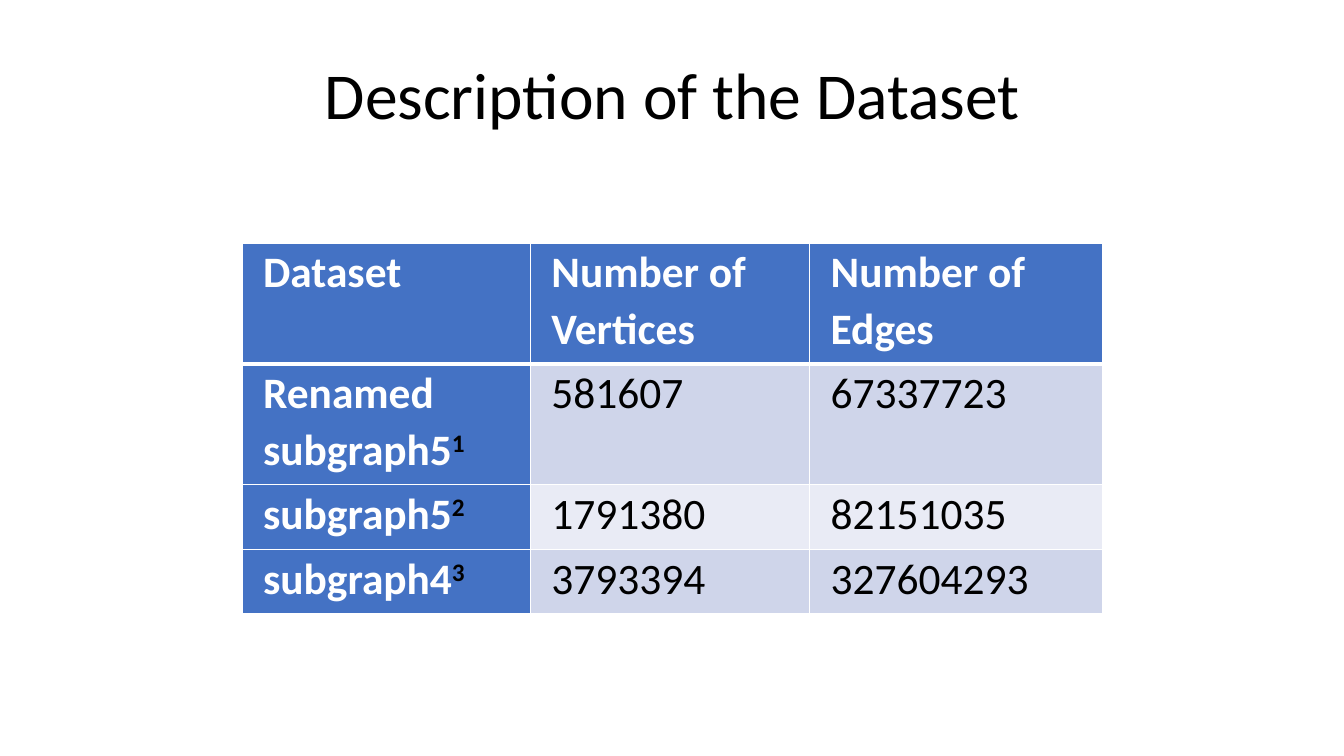
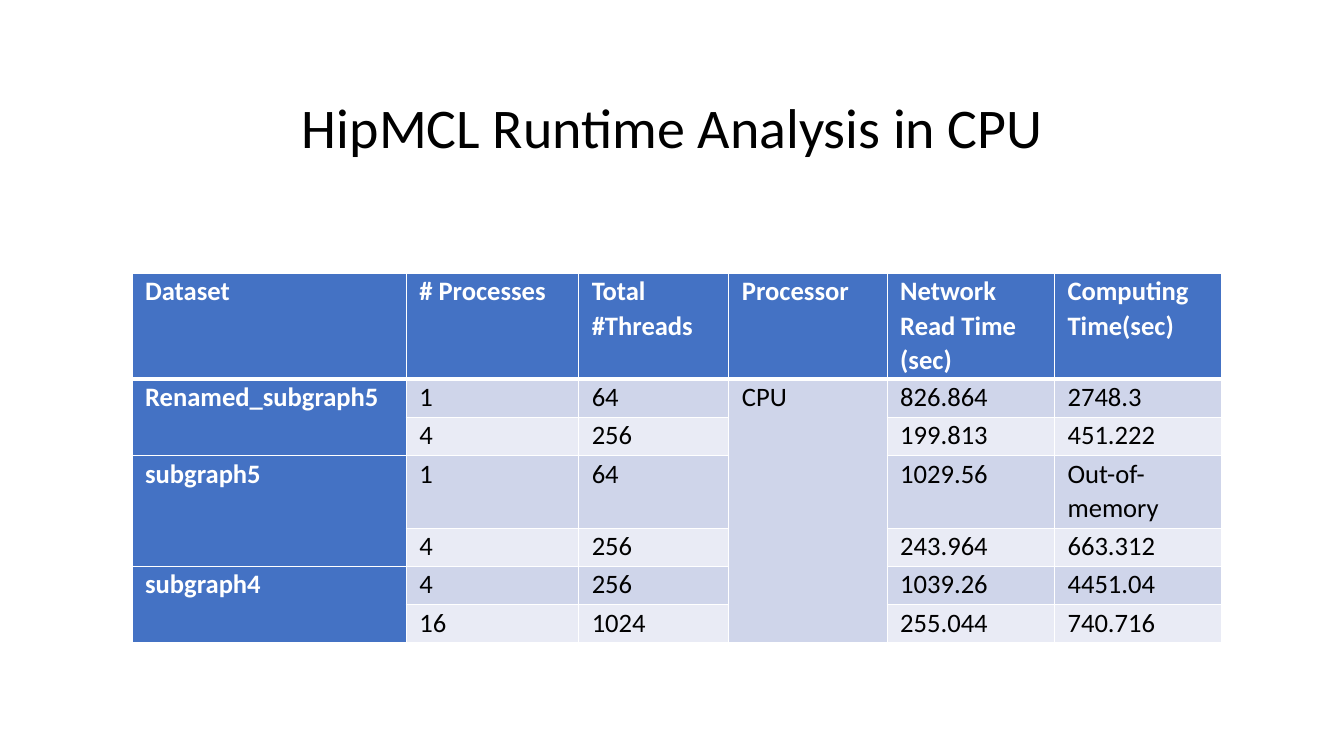
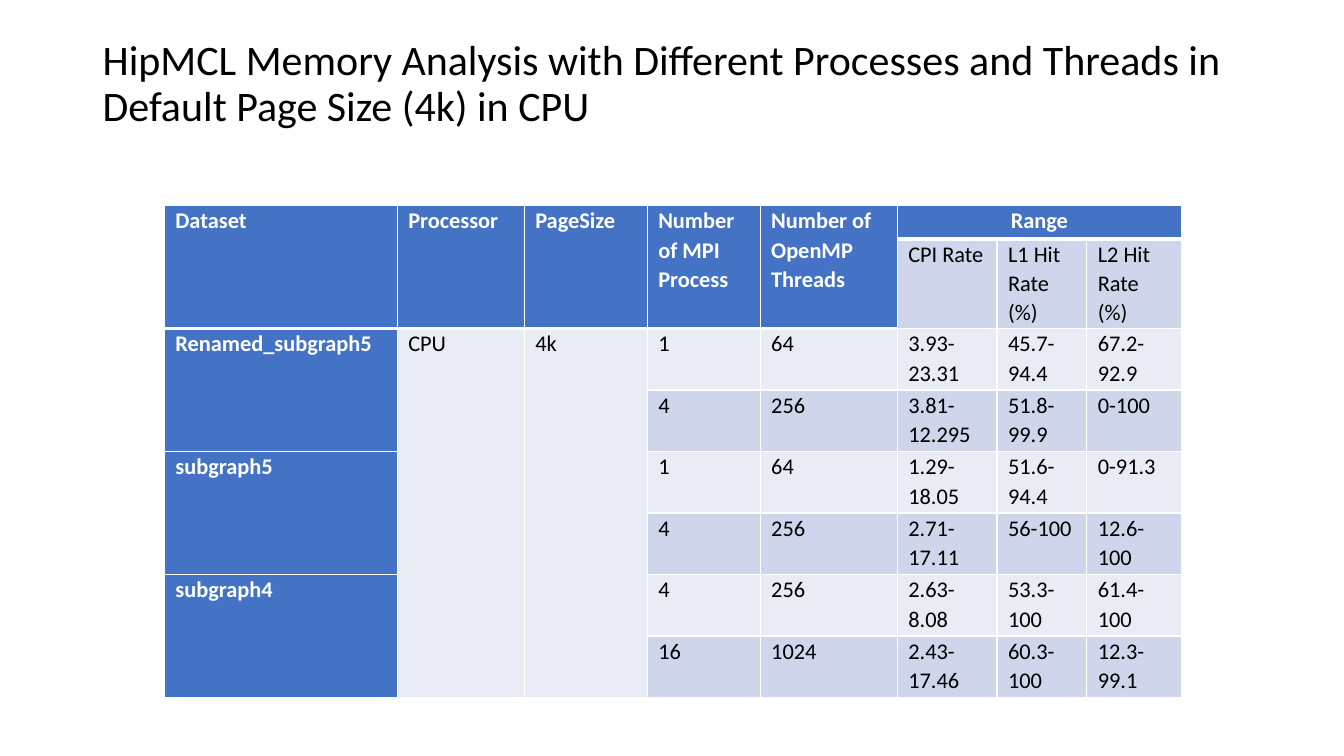
import pptx
import pptx.util
import pptx.dml.color
import pptx.enum.text
import pptx.oxml
import pptx.oxml.ns

Inches, Pt = pptx.util.Inches, pptx.util.Pt
RGB = pptx.dml.color.RGBColor
ALIGN = pptx.enum.text.PP_ALIGN
ANCHOR = pptx.enum.text.MSO_ANCHOR

BLUE = RGB(0x44, 0x72, 0xC4)
BANDS = RGB(0xE9, 0xEB, 0xF5), RGB(0xCF, 0xD5, 0xEA)
WHITE = RGB(0xFF, 0xFF, 0xFF)
BLACK = RGB(0, 0, 0)
FONT = "Calibri"
WIDE, HIGH = 13.33, 7.5
EDGE, SPAN = 0.92, 11.5  # title column

# Cells that continue the cell above or to the left
UP, LEFT = "^", "<"

# A (text, mark) cell ends in a superscript
SLIDES = [
    dict(
        title="Description of the Dataset", size=46.8, top=0.61, tall=0.77,
        align=ALIGN.CENTER, at=(2.4, 2.41), text=31, pad=0.21,
        cols=[2.86, 2.77, 2.91],
        rows=[1.2] * 2 + [0.64] * 2,
        cells=[
            ["Dataset", "Number of Vertices", "Number of Edges"],
            [("Renamed subgraph5", "1"), "581607", "67337723"],
            [("subgraph5", "2"), "1791380", "82151035"],
            [("subgraph4", "3"), "3793394", "327604293"],
        ],
    ),
    dict(
        title="HipMCL Runtime Analysis in CPU", size=40, top=0.46, tall=1.18,
        align=ALIGN.CENTER, at=(1.31, 2.71), text=19, pad=0.13,
        cols=[2.72, 1.71, 1.49, 1.57, 1.66, 1.66],
        rows=[1.05, 0.38, 0.38, 0.72] + [0.38] * 3,
        cells=[
            ["Dataset", "# Processes", "Total #Threads", "Processor",
             "Network Read Time (sec)", "Computing Time(sec)"],
            ["Renamed_subgraph5", "1", "64", "CPU", "826.864", "2748.3"],
            [UP, "4", "256", UP, "199.813", "451.222"],
            ["subgraph5", "1", "64", UP, "1029.56", "Out-of-memory"],
            [UP, "4", "256", UP, "243.964", "663.312"],
            ["subgraph4", "4", "256", UP, "1039.26", "4451.04"],
            [UP, "16", "1024", UP, "255.044", "740.716"],
        ],
    ),
    dict(
        title="HipMCL Memory Analysis with Different Processes and Threads in "
              "Default Page Size (4k) in CPU",
        size=30, top=0.32, tall=1.02,
        align=ALIGN.LEFT, at=(1.63, 2.04), text=16, pad=0.11,
        cols=[2.31, 1.26, 1.22, 1.12, 1.36, 0.99, 0.89, 0.94],
        rows=[0.33, 0.89] + [0.61] * 6,
        cells=[
            ["Dataset", "Processor", "PageSize", "Number of MPI Process",
             "Number of OpenMP Threads", "Range", LEFT, LEFT],
            [UP, UP, UP, UP, UP, "CPI Rate", "L1 Hit Rate (%)", "L2 Hit Rate (%)"],
            ["Renamed_subgraph5", "CPU", "4k", "1", "64",
             "3.93-23.31", "45.7-94.4", "67.2-92.9"],
            [UP, UP, UP, "4", "256", "3.81-12.295", "51.8-99.9", "0-100"],
            ["subgraph5", UP, UP, "1", "64", "1.29-18.05", "51.6-94.4", "0-91.3"],
            [UP, UP, UP, "4", "256", "2.71-17.11", "56-100", "12.6-100"],
            ["subgraph4", UP, UP, "4", "256", "2.63-8.08", "53.3-100", "61.4-100"],
            [UP, UP, UP, "16", "1024", "2.43-17.46", "60.3-100", "12.3-99.1"],
        ],
    ),
]


def set_font(para, size, color, bold=False):
    font = para.font
    font.name, font.size, font.bold = FONT, Pt(size), bold
    font.color.rgb = color


def add_title(slide, data):
    box = slide.shapes.add_textbox(
        Inches(EDGE), Inches(data["top"]), Inches(SPAN), Inches(data["tall"]))
    frame = box.text_frame
    frame.word_wrap = True
    frame.vertical_anchor = ANCHOR.BOTTOM
    para = frame.paragraphs[0]
    para.text = data["title"]
    para.alignment = data["align"]
    para.line_spacing = 0.9
    set_font(para, data["size"], BLACK)


def owner(cells, row, col):
    """Find the cell that a continued cell belongs to."""
    while cells[row][col] in (UP, LEFT):
        if cells[row][col] == UP:
            row -= 1
        else:
            col -= 1
    return row, col


def add_line(cell, side, width):
    cell._tc.get_or_add_tcPr().append(pptx.oxml.parse_xml(
        f'<a:ln{side} {pptx.oxml.ns.nsdecls("a")} w="{Pt(width)}">'
        f'<a:solidFill><a:srgbClr val="{WHITE}"/></a:solidFill></a:ln{side}>'))


def style_cell(cell, row, col, data):
    """Style a cell by the row and column where its merged area starts."""
    head = row == 0
    strong = head or col == 0
    cell.margin_left = cell.margin_right = Inches(data["pad"])
    cell.margin_top = cell.margin_bottom = 0
    for side in "LRTB" if head else "LRB":
        add_line(cell, side, 3 if head and side == "B" else 1)
    cell.fill.solid()
    cell.fill.fore_color.rgb = BLUE if strong else BANDS[row % 2]
    para = cell.text_frame.paragraphs[0]
    para.line_spacing = 1.07
    set_font(para, data["text"], WHITE if strong else BLACK, strong)
    return para


def add_grid(slide, data):
    cells, cols, rows = data["cells"], data["cols"], data["rows"]
    left, top = data["at"]
    table = slide.shapes.add_table(
        len(rows), len(cols), Inches(left), Inches(top),
        Inches(sum(cols)), Inches(sum(rows))).table
    table.first_row = table.horz_banding = False
    for col, width in zip(table.columns, cols):
        col.width = Inches(width)
    for row, height in zip(table.rows, rows):
        row.height = Inches(height)

    ends = {}
    for r, line in enumerate(cells):
        for c, item in enumerate(line):
            start = owner(cells, r, c)
            ends[start] = r, c
            para = style_cell(table.cell(r, c), *start, data)
            if start != (r, c):
                continue
            text, mark = item if isinstance(item, tuple) else (item, "")
            para.add_run().text = text
            if mark:
                run = para.add_run()
                run.text = mark
                run.font.color.rgb = BLACK
                run._r.get_or_add_rPr().set("baseline", "30000")
    for start, end in ends.items():
        if start != end:
            table.cell(*start).merge(table.cell(*end))
            if start[1] != end[1]:
                table.cell(*start).text_frame.paragraphs[0].alignment = ALIGN.CENTER


def main():
    deck = pptx.Presentation()
    deck.slide_width, deck.slide_height = Inches(WIDE), Inches(HIGH)
    for data in SLIDES:
        slide = deck.slides.add_slide(deck.slide_layouts[6])
        add_title(slide, data)
        add_grid(slide, data)
    deck.save("out.pptx")


if __name__ == "__main__":
    main()
